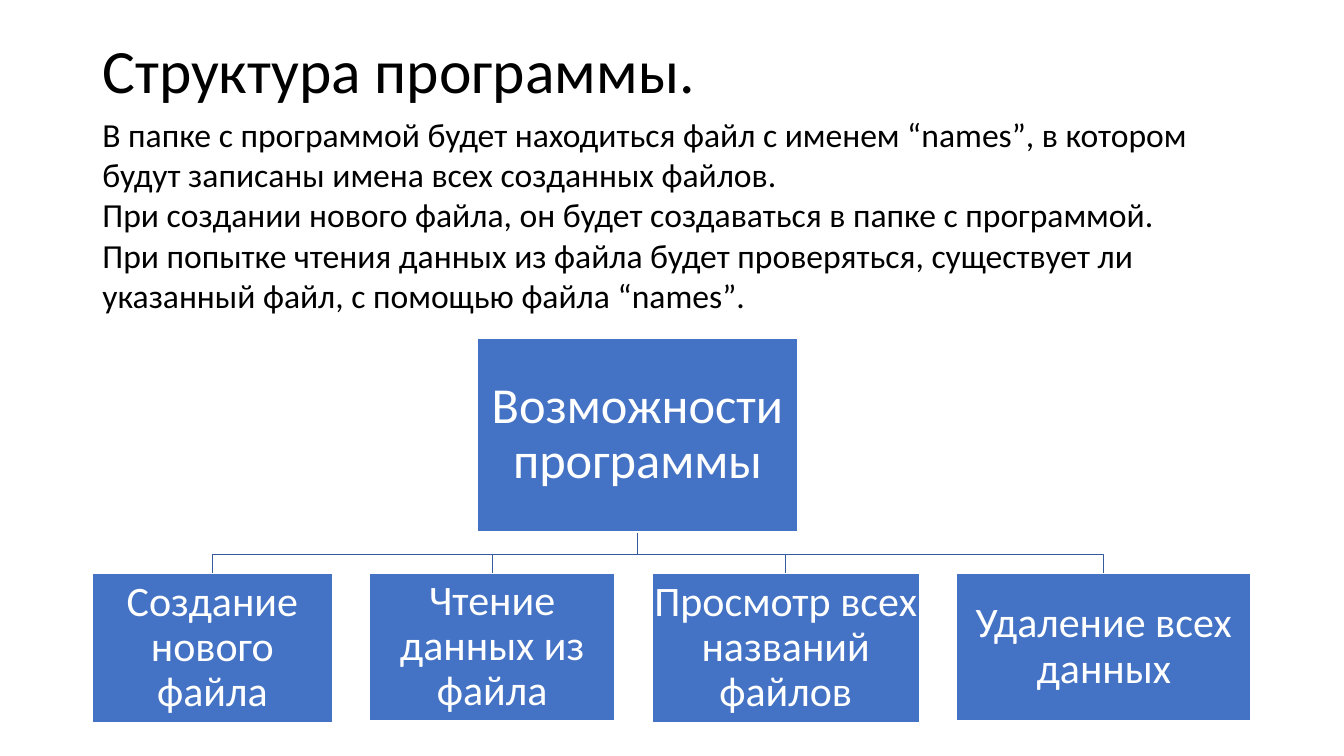
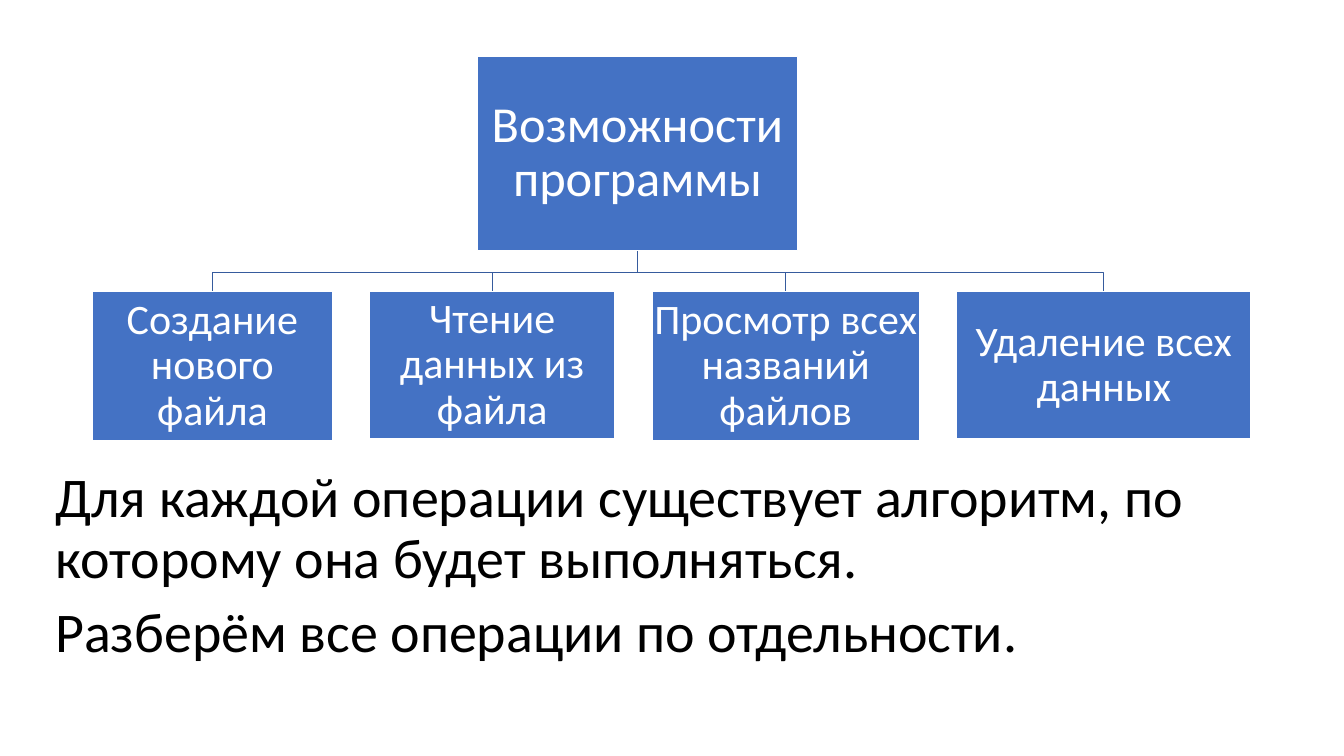
from pptx import Presentation
from pptx.dml.color import RGBColor
from pptx.enum.lang import MSO_LANGUAGE_ID
from pptx.enum.shapes import MSO_SHAPE
from pptx.enum.text import MSO_ANCHOR, PP_ALIGN
from pptx.util import Inches, Pt

SLIDE_WIDTH, SLIDE_HEIGHT = Inches(13.333), Inches(7.5)
FONT = "Calibri"
BLACK, WHITE, BLUE, DARK_BLUE = "000000", "FFFFFF", "4472C4", "365B9D"
LINE_SPACING = 0.9

# Shares of the slide, in percent
MARGIN, CONTENT_WIDTH = 6.88, 86.25
ROOT_LEFT, ROOT_WIDTH, ROOT_HEIGHT = 35.55, 23.78, 25.65
TRUNK_DROP, BUS_DROP, CHILD_DROP, CHILD_GAP = 25.7, 28.62, 31.13, 2.78

ROOT_TEXT = "Возможности программы"
OPERATIONS = [  # text, width, height
    ("Создание нового файла", 17.85, 19.73),
    ("Чтение данных из файла", 18.23, 19.47),
    ("Просмотр всех названий файлов", 19.88, 19.73),
    ("Удаление всех данных", 21.9, 19.47),
]
FILE_NAME = "names”"  # the English part of the Russian sentences
STRUCTURE = [
    "В папке с программой будет находиться файл с именем “names”, "
    "в котором будут записаны имена всех созданных файлов.",
    "При создании нового файла, он будет создаваться в папке с программой.",
    "При попытке чтения данных из файла будет проверяться, существует ли "
    "указанный файл, с помощью файла “names”.",
]
ALGORITHMS = [
    "Для каждой операции существует алгоритм, по которому она будет выполняться.",
    "Разберём все операции по отдельности.",
]


def color(value):
    return RGBColor.from_string(value)


def across(share):
    return round(SLIDE_WIDTH * share / 100)


def down(share):
    return round(SLIDE_HEIGHT * share / 100)


def area(left, top, width, height):
    return across(left), down(top), across(width), down(height)


def add_runs(paragraph, text):
    """Fill the paragraph, marking the file name as English."""
    before, name, after = text.partition(FILE_NAME)
    for part in filter(None, (before, name, after)):
        run = paragraph.add_run()
        run.text = part
        run.font.language_id = (MSO_LANGUAGE_ID.ENGLISH_US if part == FILE_NAME
                                else MSO_LANGUAGE_ID.RUSSIAN)


def write(frame, texts, size, ink=BLACK, spacing=LINE_SPACING, before=0,
          align=PP_ALIGN.LEFT, anchor=MSO_ANCHOR.TOP):
    frame.word_wrap = True
    frame.vertical_anchor = anchor
    for index, text in enumerate(texts):
        paragraph = frame.paragraphs[0] if index == 0 else frame.add_paragraph()
        add_runs(paragraph, text)
        paragraph.alignment = align
        paragraph.line_spacing = spacing
        paragraph.space_before = Pt(before)
        font = paragraph.font
        font.name, font.size, font.color.rgb = FONT, Pt(size), color(ink)


def add_text(slide, place, texts, size, **style):
    write(slide.shapes.add_textbox(*area(*place)).text_frame, texts, size, **style)


def outline(shape, ink):
    shape.shadow.inherit = False
    shape.line.color.rgb = color(ink)
    shape.line.width = Pt(1)


def add_node(slide, place, text, size, inset):
    node = slide.shapes.add_shape(MSO_SHAPE.RECTANGLE, *area(*place))
    outline(node, WHITE)
    node.fill.solid()
    node.fill.fore_color.rgb = color(BLUE)
    frame = node.text_frame
    frame.margin_left = frame.margin_right = Inches(inset)
    frame.margin_top = frame.margin_bottom = Inches(inset)
    write(frame, [text], size, ink=WHITE, align=PP_ALIGN.CENTER,
          anchor=MSO_ANCHOR.MIDDLE)


def add_branch(slide, top, child_center):
    """Draw the bent line from below the root to the top of an operation."""
    root_x, child_x = across(ROOT_LEFT + ROOT_WIDTH / 2), across(child_center)
    start, bus, end = (down(top + drop)
                       for drop in (TRUNK_DROP, BUS_DROP, CHILD_DROP))
    builder = slide.shapes.build_freeform(root_x, start)
    builder.add_line_segments([(root_x, bus), (child_x, bus), (child_x, end)],
                              close=False)
    branch = builder.convert_to_shape()
    branch.fill.background()
    outline(branch, DARK_BLUE)


def add_hierarchy(slide, top):
    """Draw the branches, then the root and its operations over them."""
    children = []
    left = MARGIN
    for text, width, height in OPERATIONS:
        children.append((text, (left, top + CHILD_DROP, width, height)))
        left += width + CHILD_GAP

    for _, (child_left, _, width, _) in reversed(children):
        add_branch(slide, top, child_left + width / 2)
    add_node(slide, (ROOT_LEFT, top, ROOT_WIDTH, ROOT_HEIGHT), ROOT_TEXT, 36, 0.03)
    for text, place in children:
        add_node(slide, place, text, 30, 0.02)


def add_structure_slide(slide):
    add_text(slide, (MARGIN, 0, CONTENT_WIDTH, 19.36), ["Структура программы."],
             44, anchor=MSO_ANCHOR.MIDDLE)
    add_hierarchy(slide, 44.71)
    add_text(slide, (MARGIN, 14.36, CONTENT_WIDTH, 28.27), STRUCTURE, 24, spacing=1.0)


def add_algorithms_slide(slide):
    add_text(slide, (3.38, 61.44, 92.85, 15.47), ALGORITHMS, 40, before=10)
    add_hierarchy(slide, 7.47)


def main():
    deck = Presentation()
    deck.slide_width, deck.slide_height = SLIDE_WIDTH, SLIDE_HEIGHT
    blank = deck.slide_layouts[6]
    for build in (add_structure_slide, add_algorithms_slide):
        build(deck.slides.add_slide(blank))
    deck.save("out.pptx")


if __name__ == "__main__":
    main()
